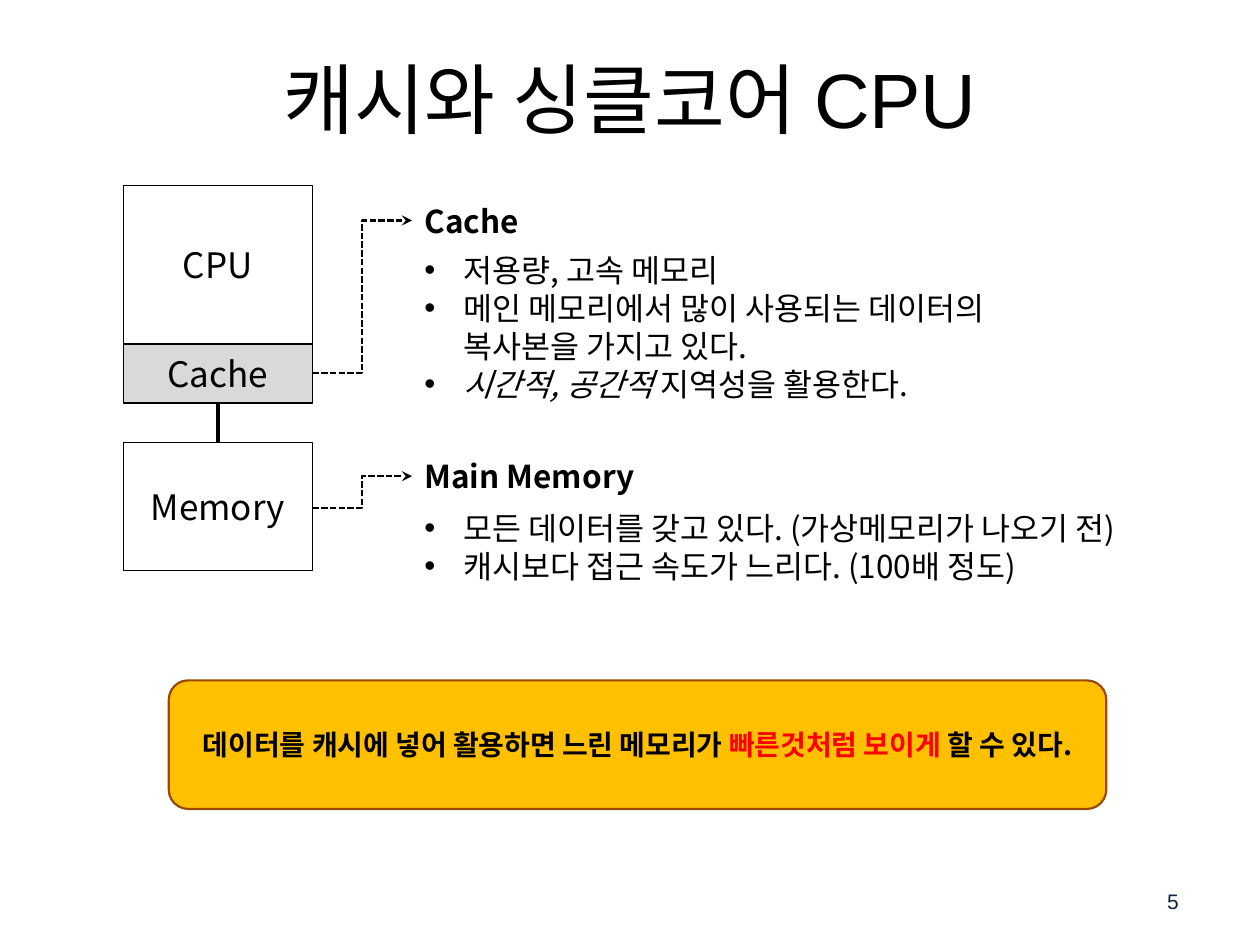
from lxml.etree import SubElement
from pptx import Presentation
from pptx.dml.color import RGBColor
from pptx.enum.dml import MSO_LINE
from pptx.enum.shapes import MSO_CONNECTOR, MSO_SHAPE
from pptx.enum.text import MSO_ANCHOR, MSO_AUTO_SIZE, PP_ALIGN
from pptx.oxml.ns import qn
from pptx.util import Inches, Pt

COLORS = {"text": "000000", "paper": "FFFFFF", "cache": "D9D9D9", "banner": "FFC000",
          "banner_edge": "984807", "accent": "FF0000", "number": "0F243E"}
BODY_FONT, TITLE_FONT = "Noto Sans CJK KR", "Arial"

# Two columns: hardware diagram on the left, explanations on the right
DIAGRAM_LEFT, DIAGRAM_WIDTH = 0.98, 1.5
DIAGRAM_RIGHT = DIAGRAM_LEFT + DIAGRAM_WIDTH
DIAGRAM_CENTER = DIAGRAM_LEFT + DIAGRAM_WIDTH / 2
NOTES_LEFT = 3.27
HEADING_HEIGHT = 0.4
LINE_PITCH = 21.7
INDENT = 0.31


def color(name):
    return RGBColor.from_string(COLORS[name])


def add_run(paragraph, text, size, tint="text", bold=False, italic=False, font=BODY_FONT):
    run = paragraph.add_run()
    run.text = text
    run.font.size = Pt(size)
    run.font.name = font
    run.font.bold = bold
    run.font.italic = italic
    run.font.color.rgb = color(tint)
    SubElement(run.font._element, qn("a:ea"), typeface=BODY_FONT)


def add_box(slide, top, height, runs, fill, left=DIAGRAM_LEFT, width=DIAGRAM_WIDTH,
            preset=MSO_SHAPE.RECTANGLE, edge="text", edge_width=0.75):
    box = slide.shapes.add_shape(preset, Inches(left), Inches(top), Inches(width), Inches(height))
    box.shadow.inherit = False
    box.fill.solid()
    box.fill.fore_color.rgb = color(fill)
    box.line.color.rgb = color(edge)
    box.line.width = Pt(edge_width)
    frame = box.text_frame
    frame.word_wrap = True
    frame.vertical_anchor = MSO_ANCHOR.MIDDLE
    frame.margin_left = frame.margin_right = Inches(0.12)
    frame.paragraphs[0].alignment = PP_ALIGN.CENTER
    for text, style in runs:
        add_run(frame.paragraphs[0], text, **style)
    return box


def add_text_area(slide, left, top, width, height):
    area = slide.shapes.add_textbox(Inches(left), Inches(top), Inches(width), Inches(height))
    area.text_frame.word_wrap = True
    return area.text_frame


def add_heading(slide, top, width, text):
    heading = add_text_area(slide, NOTES_LEFT, top, width, HEADING_HEIGHT).paragraphs[0]
    heading.line_spacing = Pt(LINE_PITCH)
    add_run(heading, text, 18, bold=True)


def add_bullets(slide, top, width, height, items):
    frame = add_text_area(slide, NOTES_LEFT, top, width, height)
    for index, runs in enumerate(items):
        item = frame.add_paragraph() if index else frame.paragraphs[0]
        item.line_spacing = Pt(LINE_PITCH)
        properties = item._p.get_or_add_pPr()
        properties.set("marL", str(Inches(INDENT)))
        properties.set("indent", str(-Inches(INDENT)))
        SubElement(properties, qn("a:buFont"), typeface="Arial")
        SubElement(properties, qn("a:buChar"), char="•")
        for text, italic in runs:
            add_run(item, text, 18, italic=italic)


def add_link(slide, kind, start, end, width):
    link = slide.shapes.add_connector(kind, *(Inches(value) for value in (*start, *end)))
    link.line.color.rgb = color("text")
    link.line.width = Pt(width)
    SubElement(link._element.spPr, qn("a:effectLst"))
    return link


def add_callout(slide, from_y, to_y):
    callout = add_link(slide, MSO_CONNECTOR.ELBOW, (DIAGRAM_RIGHT, from_y), (NOTES_LEFT, to_y), 1.25)
    callout.line.dash_style = MSO_LINE.SQUARE_DOT
    SubElement(callout.line._get_or_add_ln(), qn("a:tailEnd"), type="stealth")


def set_title(slide, text):
    title = slide.shapes.title
    title.left, title.top = Inches(0.5), Inches(0.3)
    title.width, title.height = Inches(9), Inches(0.95)
    frame = title.text_frame
    frame.auto_size = MSO_AUTO_SIZE.NONE
    frame.vertical_anchor = MSO_ANCHOR.MIDDLE
    frame.paragraphs[0].alignment = PP_ALIGN.CENTER
    add_run(frame.paragraphs[0], text, 44, font=TITLE_FONT)


def add_page_number(slide, text):
    frame = add_text_area(slide, 7.17, 6.95, 2.33, 0.4)
    frame.vertical_anchor = MSO_ANCHOR.MIDDLE
    frame.paragraphs[0].alignment = PP_ALIGN.RIGHT
    add_run(frame.paragraphs[0], text, 12, "number", font=TITLE_FONT)


def main():
    deck = Presentation()
    deck.slide_width, deck.slide_height = Inches(10), Inches(7.5)
    slide = deck.slides.add_slide(deck.slide_layouts[5])
    set_title(slide, "캐시와 싱클코어 CPU")
    add_page_number(slide, "5 ")

    # Hardware diagram
    for name, top, height, fill in (("CPU", 1.47, 1.26, "paper"),
                                    ("Cache", 2.73, 0.47, "cache"),
                                    ("Memory", 3.51, 1.02, "paper")):
        add_box(slide, top, height, [(name, {"size": 20})], fill)
    add_link(slide, MSO_CONNECTOR.STRAIGHT, (DIAGRAM_CENTER, 3.2), (DIAGRAM_CENTER, 3.51), 2)

    # Conclusion
    strong = {"size": 16, "bold": True}
    banner = add_box(slide, 5.4, 1.02, [
        ("데이터를 캐시에 넣어 활용하면 느린 메모리가 ", strong),
        ("빠른것처럼 보이게 ", {**strong, "tint": "accent"}),
        ("할 수 있다.", strong),
    ], "banner", 1.34, 7.44, MSO_SHAPE.ROUNDED_RECTANGLE, "banner_edge", 1.25)
    banner.adjustments[0] = 0.15

    # Explanations
    add_bullets(slide, 1.94, 5.43, 1.31, [
        [("저용량, 고속 메모리", False)],
        [("메인 메모리에서 많이 사용되는 데이터의 복사본을 가지고 있다.", False)],
        [("시간적, 공간적", True), (" 지역성을 활용한다.", False)],
    ])
    add_bullets(slide, 3.99, 6.23, 0.71, [
        [("모든 데이터를 갖고 있다. (가상메모리가 나오기 전)", False)],
        [("캐시보다 접근 속도가 느리다. (100배 정도)", False)],
    ])
    for text, top, width, source_y in (("Cache", 1.55, 1.2, 2.96),
                                       ("Main Memory", 3.58, 2.52, 4.03)):
        add_heading(slide, top, width, text)
        add_callout(slide, source_y, top + HEADING_HEIGHT / 2)

    deck.save("out.pptx")


if __name__ == "__main__":
    main()
